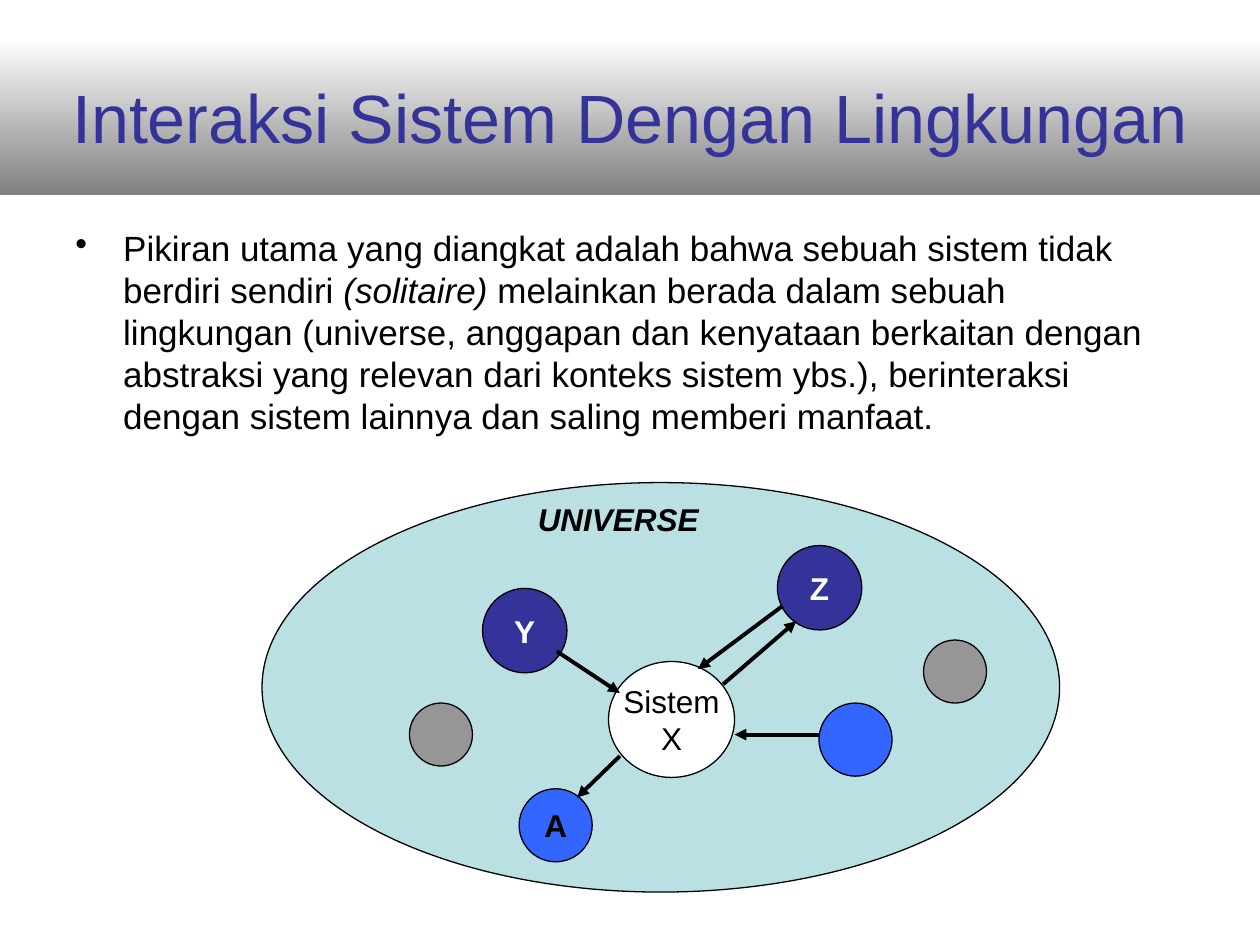
from lxml import etree
from pptx import Presentation
from pptx.dml.color import RGBColor
from pptx.enum.shapes import MSO_CONNECTOR, MSO_SHAPE
from pptx.enum.text import MSO_ANCHOR, PP_ALIGN
from pptx.oxml.ns import qn
from pptx.util import Inches, Pt

RECTANGLE, OVAL = MSO_SHAPE.RECTANGLE, MSO_SHAPE.OVAL
STRAIGHT = MSO_CONNECTOR.STRAIGHT
MIDDLE, TOP = MSO_ANCHOR.MIDDLE, MSO_ANCHOR.TOP
CENTER, LEFT = PP_ALIGN.CENTER, PP_ALIGN.LEFT

COLORS = {
    "black": "000000",
    "white": "FFFFFF",
    "band_gray": "808080",
    "gray": "969696",
    "navy": "333399",
    "blue": "3366FF",
    "universe": "BBE0E3",
}

# left, top, diameter, fill, label, label colour
SYSTEMS = [
    (3.83, 4.67, 0.67, "navy", "Y", "white"),
    (6.17, 4.33, 0.67, "navy", "Z", "white"),
    (7.33, 5.08, 0.5, "gray", "", "black"),
    (6.5, 5.58, 0.58, "blue", "", "black"),
    (4.12, 6.26, 0.58, "blue", "A", "black"),
    (3.25, 5.58, 0.5, "gray", "", "black"),
]

# start x, start y, end x, end y
INTERACTIONS = [
    (4.42, 5.17, 4.92, 5.5),
    (6.21, 4.81, 5.54, 5.31),
    (5.74, 5.43, 6.32, 4.93),
    (6.5, 5.83, 5.83, 5.83),
    (4.92, 6, 4.58, 6.33),
]

BODY_RUNS = [
    ("Pikiran utama yang diangkat adalah bahwa sebuah sistem tidak berdiri sendiri ", False),
    ("(solitaire) ", True),
    ("melainkan berada dalam sebuah lingkungan (universe, anggapan dan kenyataan "
     "berkaitan dengan abstraksi yang relevan dari konteks sistem ybs.), berinteraksi "
     "dengan sistem lainnya dan saling memberi manfaat.", False),
]


def rgb(name):
    return RGBColor.from_string(COLORS[name])


def add_run(paragraph, text, size, color, **font_format):
    run = paragraph.add_run()
    run.text = text
    run.font.color.rgb = rgb(color)
    values = {"name": "Arial", "size": Pt(size), **font_format}
    for attribute, value in values.items():
        setattr(run.font, attribute, value)


def set_frame(shape, anchor, wrap):
    frame = shape.text_frame
    frame.vertical_anchor = anchor
    frame.word_wrap = wrap
    return frame


def add_text_box(slide, left, top, width, height):
    """Add an empty wrapping text box and return its first paragraph."""
    box = slide.shapes.add_textbox(Inches(left), Inches(top), Inches(width), Inches(height))
    paragraph = set_frame(box, TOP, True).paragraphs[0]
    paragraph.alignment = LEFT
    return paragraph


def add_title_band(slide, text):
    band = slide.shapes.add_shape(RECTANGLE, 0, Inches(0.3), Inches(10), Inches(1.25))
    band.shadow.inherit = False
    band.line.fill.background()
    band.fill.gradient()
    band.fill.gradient_angle = 270
    for stop, color in zip(band.fill.gradient_stops, ("white", "band_gray")):
        stop.color.rgb = rgb(color)
    paragraph = set_frame(band, MIDDLE, True).paragraphs[0]
    paragraph.alignment = CENTER
    add_run(paragraph, text, 39, "navy")


def add_body(slide):
    paragraph = add_text_box(slide, 0.5, 1.75, 9, 4.95)
    properties = paragraph._p.get_or_add_pPr()
    properties.set("marL", str(Inches(0.38)))
    properties.set("indent", str(Inches(-0.38)))
    etree.SubElement(properties, qn("a:buChar"), char="•")
    for text, italic in BODY_RUNS:
        add_run(paragraph, text, 20, "black", italic=italic)


def add_oval(slide, left, top, width, height, fill, lines=(), color="black", bold=False):
    oval = slide.shapes.add_shape(OVAL, Inches(left), Inches(top), Inches(width), Inches(height))
    oval.shadow.inherit = False
    oval.fill.solid()
    oval.fill.fore_color.rgb = rgb(fill)
    oval.line.color.rgb = rgb("black")
    oval.line.width = Pt(0.75)
    frame = set_frame(oval, MIDDLE, False)
    for index, text in enumerate(lines):
        paragraph = frame.add_paragraph() if index else frame.paragraphs[0]
        paragraph.alignment = CENTER
        add_run(paragraph, text, 18, color, bold=bold)


def add_arrow(slide, *ends):
    arrow = slide.shapes.add_connector(STRAIGHT, *(Inches(value) for value in ends))
    arrow.line.color.rgb = rgb("black")
    arrow.line.width = Pt(2.25)
    etree.SubElement(arrow.line._get_or_add_ln(), qn("a:tailEnd"), type="triangle")
    etree.SubElement(arrow._element.spPr, qn("a:effectLst"))


def add_universe(slide):
    add_oval(slide, 2.08, 3.83, 6.33, 3.25, "universe")
    add_oval(slide, 4.83, 5.25, 1, 0.92, "white", ("Sistem", "X"))
    for left, top, diameter, fill, label, color in SYSTEMS:
        lines = (label,) if label else ()
        add_oval(slide, left, top, diameter, diameter, fill, lines, color, bold=True)
    for ends in INTERACTIONS:
        add_arrow(slide, *ends)
    heading = add_text_box(slide, 4.17, 3.92, 1.67, 0.4)
    add_run(heading, "UNIVERSE", 18, "black", bold=True, italic=True)


def main():
    presentation = Presentation()
    presentation.slide_width, presentation.slide_height = Inches(10), Inches(7.5)
    slide = presentation.slides.add_slide(presentation.slide_layouts[6])
    add_title_band(slide, "Interaksi Sistem Dengan Lingkungan")
    add_body(slide)
    add_universe(slide)
    presentation.save("out.pptx")


if __name__ == "__main__":
    main()
